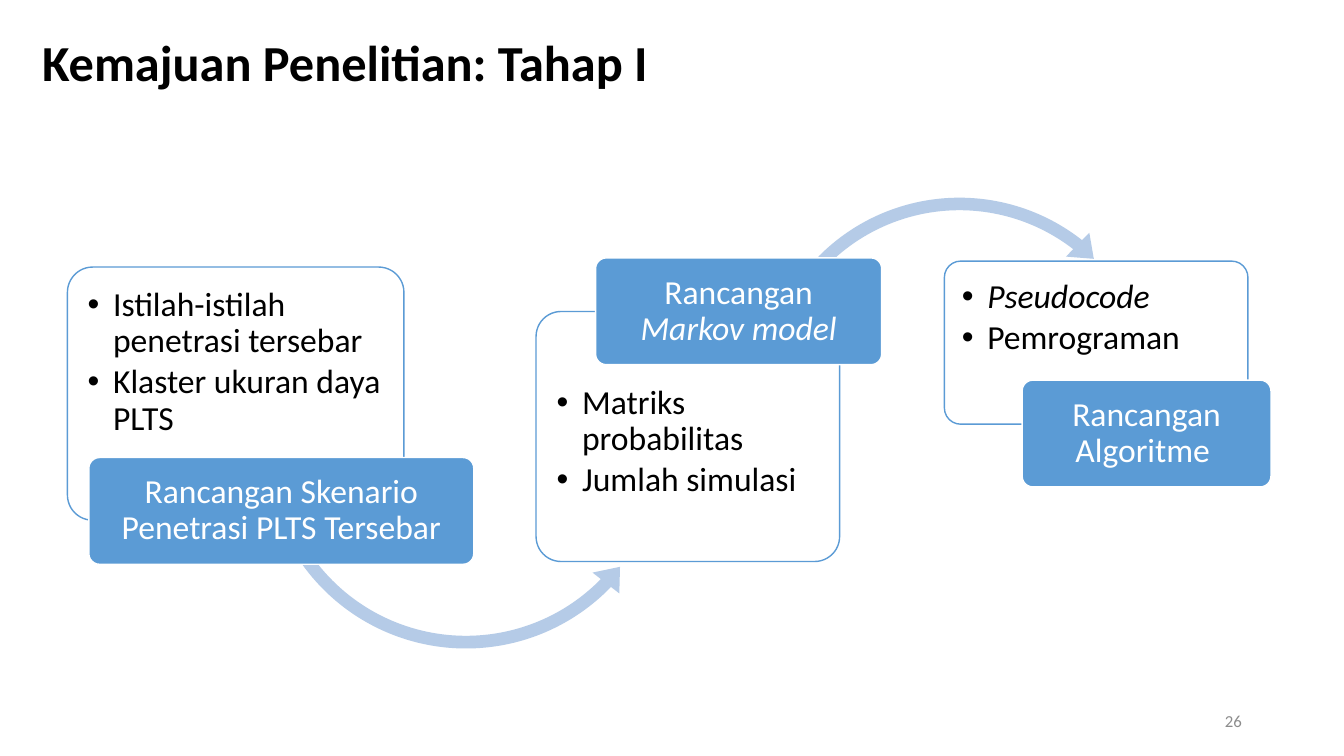
"""Build the research progress slide: three stages joined by curved arrows."""
from dataclasses import dataclass
from typing import NamedTuple, Optional

from lxml import etree
from pptx import Presentation
from pptx import util as u
from pptx.dml.color import RGBColor
from pptx.enum import shapes, text
from pptx.oxml.ns import qn


@dataclass(frozen=True)
class Theme:
    font: str = "Calibri"
    ink: str = "000000"
    paper: str = "FFFFFF"
    accent: str = "5B9BD5"
    arrow: str = "B5CBE7"
    muted: str = "8C8C8C"
    title_size: int = 36
    body_size: int = 24
    number_size: int = 12


THEME = Theme()


class Box(NamedTuple):
    left: float
    top: float
    width: float
    height: float


class Words(NamedTuple):
    text: str
    italic: bool = False


class Arrow(NamedTuple):
    kind: shapes.MSO_SHAPE
    box: Box
    adjustments: tuple


@dataclass(frozen=True)
class Stage:
    placeholder: int
    card: Box
    list_box: Box
    items: tuple
    label_box: Box
    label: tuple
    arrow: Optional[Arrow] = None


STAGES = (
    Stage(1, Box(1.7, 6.73, 8.48, 6.38), Box(1.85, 6.88, 8.18, 4.72),
          (Words("Istilah-istilah penetrasi tersebar"), Words("Klaster ukuran daya PLTS")),
          Box(2.24, 11.53, 9.7, 2.69),
          (Words("Rancangan Skenario Penetrasi PLTS Tersebar"),),
          Arrow(shapes.MSO_SHAPE.LEFT_CIRCULAR_ARROW, Box(6.4, 5.92, 10.69, 10.69),
                (0.03, 3.78, 26.51, 95.22, 0.04))),
    Stage(2, Box(13.51, 7.85, 7.65, 6.3), Box(13.67, 9.35, 7.34, 4.65),
          (Words("Matriks probabilitas"), Words("Jumlah simulasi")),
          Box(15.01, 6.5, 7.21, 2.69),
          (Words("Rancangan"), Words("Markov model", True)),
          Arrow(shapes.MSO_SHAPE.CIRCULAR_ARROW, Box(18.92, 4.72, 10.52, 10.52),
                (0.03, 3.85, 184.8, 116.16, 0.04))),
    Stage(4, Box(23.8, 6.58, 7.65, 4.11), Box(23.88, 6.68, 7.44, 3.05),
          (Words("Pseudocode", True), Words("Pemrograman")),
          Box(25.76, 9.58, 6.27, 2.69),
          (Words("Rancangan Algoritme "),)),
)


def place(shape, box: Box) -> None:
    """Move and size a shape."""
    shape.left, shape.top, shape.width, shape.height = map(u.Cm, box)


def add_run(paragraph, words: Words, size: int, color: str, bold: bool = False) -> None:
    """Append one formatted run."""
    run = paragraph.add_run()
    run.text = words.text
    font = run.font
    font.name, font.size = THEME.font, u.Pt(size)
    font.bold, font.italic = bold, words.italic
    font.color.rgb = RGBColor.from_string(color)


def set_frame(frame, inset: float, anchor: text.MSO_ANCHOR) -> None:
    """Set wrapping, insets and anchor of a text frame."""
    frame.word_wrap = True
    frame.auto_size = text.MSO_AUTO_SIZE.NONE
    frame.vertical_anchor = anchor
    frame.margin_left = frame.margin_right = u.Cm(inset)
    frame.margin_top = frame.margin_bottom = u.Cm(inset)


def set_paragraph(paragraph, align: text.PP_ALIGN, after: float = 0) -> None:
    """Set alignment and spacing of a paragraph."""
    paragraph.alignment = align
    paragraph.line_spacing = 0.9
    paragraph.space_before, paragraph.space_after = u.Pt(0), u.Pt(after)


def add_bullet(paragraph) -> None:
    """Give a paragraph a hanging round bullet."""
    properties = paragraph._p.get_or_add_pPr()
    indent = u.Cm(0.64)
    properties.set("marL", str(indent))
    properties.set("indent", str(-indent))
    etree.SubElement(properties, qn("a:buFont")).set("typeface", "Arial")
    etree.SubElement(properties, qn("a:buChar")).set("char", "•")


def add_shape(slide, kind: shapes.MSO_SHAPE, box: Box, adjustments: tuple,
              fill: str, line: Optional[str] = None):
    """Draw a filled preset shape."""
    shape = slide.shapes.add_shape(kind, *map(u.Cm, box))
    shape.shadow.inherit = False
    for index, value in enumerate(adjustments):
        shape.adjustments[index] = value
    shape.fill.solid()
    shape.fill.fore_color.rgb = RGBColor.from_string(fill)
    if line:
        shape.line.color.rgb = RGBColor.from_string(line)
        shape.line.width = u.Pt(1)
    else:
        shape.line.fill.background()
    return shape


def add_list(slide, stage: Stage) -> None:
    """Fill the stage's body placeholder and lift it above its card."""
    body = next(item for item in slide.placeholders
                if item.placeholder_format.idx == stage.placeholder)
    place(body, stage.list_box)
    body.element.getparent().append(body.element)
    frame = body.text_frame
    set_frame(frame, 0.36, text.MSO_ANCHOR.TOP)
    for index, words in enumerate(stage.items):
        paragraph = frame.add_paragraph() if index else frame.paragraphs[0]
        set_paragraph(paragraph, text.PP_ALIGN.LEFT, 0.15 * THEME.body_size)
        add_bullet(paragraph)
        add_run(paragraph, words, THEME.body_size, THEME.ink)


def add_stage(slide, stage: Stage) -> None:
    """Draw one stage: card, list, outgoing arrow and label."""
    rounded = shapes.MSO_SHAPE.ROUNDED_RECTANGLE
    card = add_shape(slide, rounded, stage.card, (0.1,), THEME.paper, THEME.accent)
    color = card.element.spPr.find(qn("a:solidFill"))[0]
    etree.SubElement(color, qn("a:alpha")).set("val", "90000")
    add_list(slide, stage)
    if stage.arrow:
        add_shape(slide, *stage.arrow, THEME.arrow)
    label = add_shape(slide, rounded, stage.label_box, (0.1,), THEME.accent, THEME.paper)
    set_frame(label.text_frame, 0.13, text.MSO_ANCHOR.MIDDLE)
    paragraph = label.text_frame.paragraphs[0]
    set_paragraph(paragraph, text.PP_ALIGN.CENTER)
    for index, words in enumerate(stage.label):
        if index:
            paragraph.add_line_break()
        add_run(paragraph, words, THEME.body_size, THEME.paper)


def add_title(slide) -> None:
    """Fill the title placeholder."""
    title = slide.shapes.title
    place(title, Box(0.81, 0.53, 32.18, 2.21))
    set_frame(title.text_frame, 0.25, text.MSO_ANCHOR.MIDDLE)
    paragraph = title.text_frame.paragraphs[0]
    set_paragraph(paragraph, text.PP_ALIGN.LEFT)
    add_run(paragraph, Words("Kemajuan Penelitian: Tahap I"),
            THEME.title_size, THEME.ink, bold=True)


def add_number(slide) -> None:
    """Write the slide number."""
    number = slide.shapes.add_textbox(*map(u.Cm, Box(23.93, 17.65, 7.62, 1.02)))
    set_frame(number.text_frame, 0.25, text.MSO_ANCHOR.MIDDLE)
    paragraph = number.text_frame.paragraphs[0]
    paragraph.alignment = text.PP_ALIGN.RIGHT
    add_run(paragraph, Words("26"), THEME.number_size, THEME.muted)


def main() -> None:
    """Create and save the presentation."""
    presentation = Presentation()
    presentation.slide_width, presentation.slide_height = u.Cm(33.87), u.Cm(19.05)
    layout = presentation.slide_layouts.get_by_name("Comparison")
    slide = presentation.slides.add_slide(layout)
    add_title(slide)
    for stage in STAGES:
        add_stage(slide, stage)
    add_number(slide)
    for placeholder in list(slide.placeholders):
        if not placeholder.text_frame.text:
            placeholder.element.getparent().remove(placeholder.element)
    presentation.save("out.pptx")


if __name__ == "__main__":
    main()
